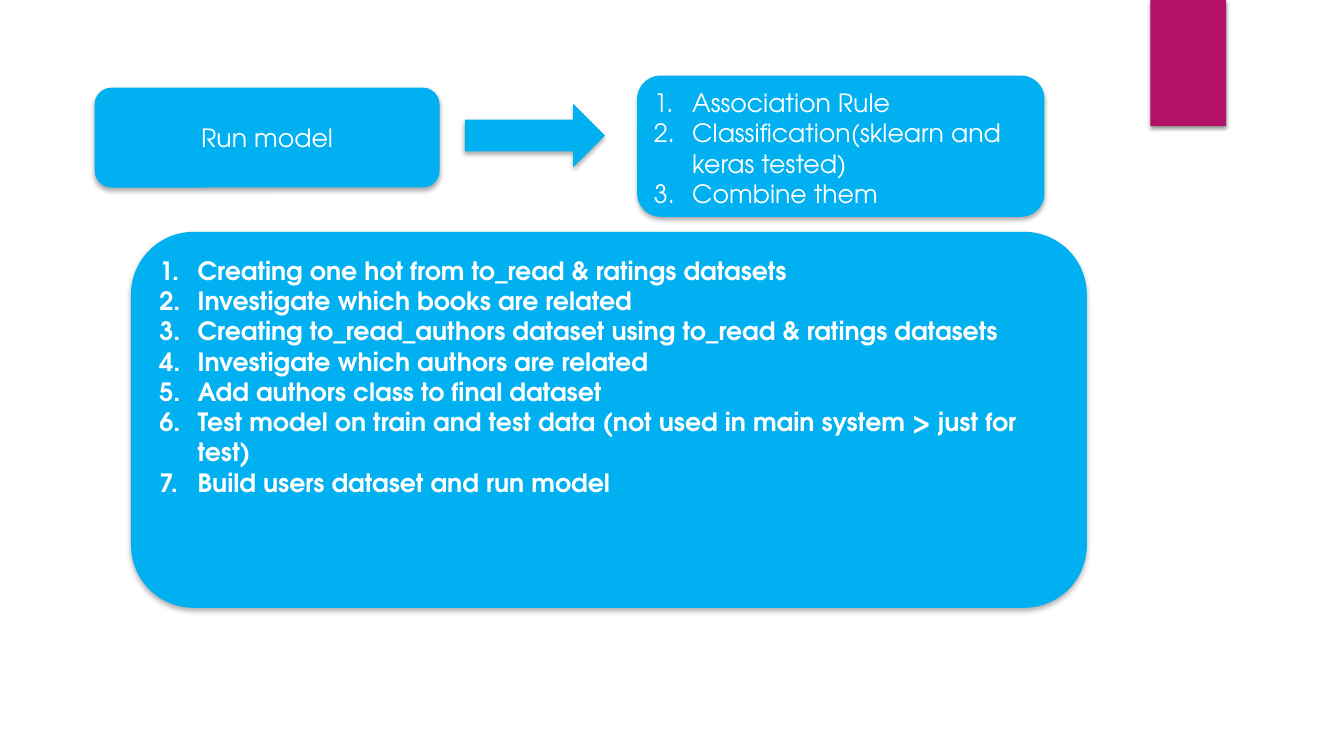
from lxml.etree import SubElement
from pptx import Presentation
from pptx.dml.color import RGBColor
from pptx.enum.shapes import MSO_SHAPE as SHAPE
from pptx.enum.text import MSO_ANCHOR as ANCHOR, PP_ALIGN as ALIGN
from pptx.oxml.ns import qn
from pptx.util import Inches, Pt

WIDTH, HEIGHT = Inches(13.33), Inches(7.5)
FONT = "TeX Gyre Adventor"
COLORS = {"blue": "00B0F0", "magenta": "B31166", "white": "FFFFFF", "shadow": "000000"}
INDENT = Inches(0.38)

METHODS = [
    "Association Rule",
    "Classification(sklearn and keras tested)",
    "Combine them",
]
STEPS = [
    "Creating one hot from to_read & ratings datasets",
    "Investigate which books are related",
    "Creating to_read_authors dataset using to_read & ratings datasets",
    "Investigate which authors are related",
    "Add authors class to final dataset",
    "Test model on train and test data (not used in main system > just for test)",
    "Build users dataset and run model",
]


def add_shadow(sp, alpha, blur, dist):
    """Cast a soft shadow straight down; alpha in percent, blur and dist in points."""
    sp.shadow.inherit = False
    effects = sp._element.spPr.find(qn("a:effectLst"))
    outer = SubElement(effects, qn("a:outerShdw"), blurRad=str(Pt(blur)),
                       dist=str(Pt(dist)), dir="5400000", algn="ctr", rotWithShape="0")
    color = SubElement(outer, qn("a:srgbClr"), val=COLORS["shadow"])
    SubElement(color, qn("a:alpha"), val=str(alpha * 1000))


def add_block(s, kind, box, color="blue", alpha=32, blur=3.5, dist=2.2):
    """Add a filled shape; box is left, top, width, height in percent of the slide."""
    x, y, w, h = box
    sp = s.shapes.add_shape(kind, int(WIDTH * x / 100), int(HEIGHT * y / 100),
                            int(WIDTH * w / 100), int(HEIGHT * h / 100))
    sp.fill.solid()
    sp.fill.fore_color.rgb = RGBColor.from_string(COLORS[color])
    sp.line.fill.background()
    add_shadow(sp, alpha, blur, dist)
    return sp


def number(p):
    pPr = p._p.get_or_add_pPr()
    pPr.set("marL", str(INDENT))
    pPr.set("indent", str(-INDENT))
    SubElement(pPr, qn("a:buAutoNum"), type="arabicPeriod")


def write(sp, lines, size=18, bold=False, color="white", align=ALIGN.LEFT,
          anchor=ANCHOR.TOP, numbered=False):
    tf = sp.text_frame
    tf.word_wrap = True
    tf.vertical_anchor = anchor
    for i, line in enumerate(lines):
        p = tf.add_paragraph() if i else tf.paragraphs[0]
        p.alignment = align
        if numbered:
            number(p)
        r = p.add_run()
        r.text = line
        r.font.name, r.font.size, r.font.bold = FONT, Pt(size), bold
        r.font.color.rgb = RGBColor.from_string(COLORS[color])


def main():
    prs = Presentation()
    prs.slide_width, prs.slide_height = WIDTH, HEIGHT
    s = prs.slides.add_slide(prs.slide_layouts[6])

    add_block(s, SHAPE.RECTANGLE, (85.6, 0, 5.63, 16.67), "magenta",
              alpha=45, blur=3, dist=2)
    run_model = add_block(s, SHAPE.ROUNDED_RECTANGLE, (7.05, 11.6, 25.66, 13.2))
    write(run_model, ["Run model"], align=ALIGN.CENTER, anchor=ANCHOR.MIDDLE)
    steps = add_block(s, SHAPE.ROUNDED_RECTANGLE, (9.75, 30.67, 71.12, 49.73))
    write(steps, STEPS, bold=True, numbered=True)
    add_block(s, SHAPE.RIGHT_ARROW, (34.58, 13.73, 10.43, 8.4))
    methods = add_block(s, SHAPE.ROUNDED_RECTANGLE, (47.41, 10, 30.31, 18.67))
    write(methods, METHODS, numbered=True)

    prs.save("out.pptx")


if __name__ == "__main__":
    main()
